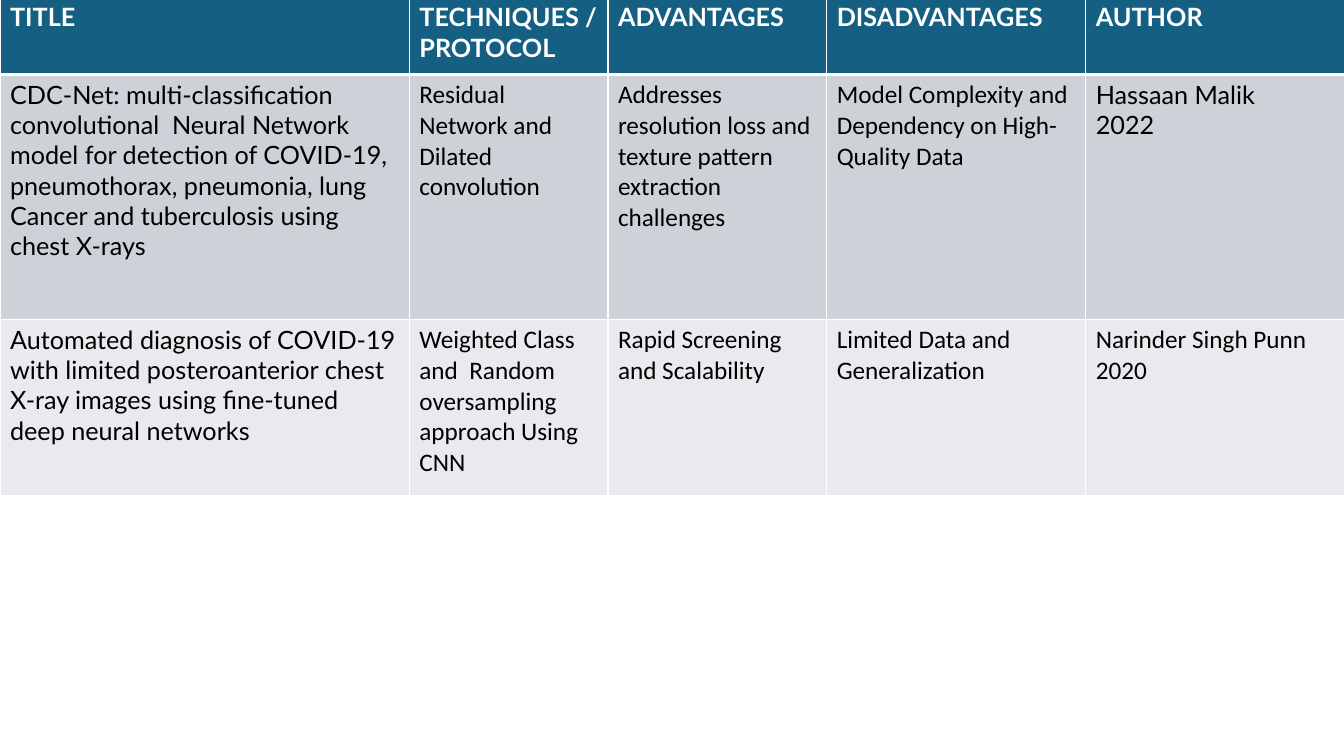
"""Build a literature survey slide with one comparison table."""
from lxml import etree
from pptx import Presentation
from pptx.dml.color import RGBColor
from pptx.oxml import ns
from pptx.util import Inches, Pt

WHITE = RGBColor(0xFF, 0xFF, 0xFF)
BLACK = RGBColor(0x00, 0x00, 0x00)
HEADER_BLUE = RGBColor(0x15, 0x60, 0x82)
ROW_FILLS = [HEADER_BLUE, RGBColor(0xCC, 0xD2, 0xD8), RGBColor(0xE8, 0xEA, 0xED)]

COLUMN_WIDTHS = [4.06, 1.97, 2.17, 2.57, 2.57]
ROW_HEIGHTS = [0.77, 2.43, 1.75]
HEADING_FONT, BODY_FONT = "Lato", "Calibri"
ROW_FONTS = [
    [HEADING_FONT] * 5,
    [HEADING_FONT, BODY_FONT, BODY_FONT, BODY_FONT, HEADING_FONT],
    [HEADING_FONT, BODY_FONT, BODY_FONT, BODY_FONT, BODY_FONT],
]
SURVEY = [
    ["TITLE", "TECHNIQUES / PROTOCOL", "ADVANTAGES", "DISADVANTAGES", "AUTHOR"],
    [
        "CDC-Net: multi-classification convolutional  Neural Network model for detection "
        "of COVID-19, pneumothorax, pneumonia, lung Cancer and tuberculosis using chest X-rays",
        "Residual Network and Dilated convolution",
        "Addresses resolution loss and texture pattern extraction challenges",
        "Model Complexity and Dependency on High-Quality Data",
        "Hassaan Malik\n2022",
    ],
    [
        "Automated diagnosis of COVID-19 with limited posteroanterior chest X-ray images "
        "using fine-tuned deep neural networks",
        "Weighted Class and  Random oversampling approach Using CNN",
        "Rapid Screening and Scalability",
        "Limited Data and Generalization",
        "Narinder Singh Punn\n2020",
    ],
]


def add_borders(cell, top, bottom):
    properties = cell._tc.get_or_add_tcPr()
    for side, width in (("L", 1), ("R", 1), ("T", top), ("B", bottom)):
        line = etree.SubElement(properties, ns.qn(f"a:ln{side}"), w=str(Pt(width)))
        fill = etree.SubElement(line, ns.qn("a:solidFill"))
        etree.SubElement(fill, ns.qn("a:srgbClr"), val=str(WHITE))


def fill_cell(cell, words, font_name, fill_color, is_header):
    cell.text = words
    cell.fill.solid()
    cell.fill.fore_color.rgb = fill_color
    for paragraph in cell.text_frame.paragraphs:
        paragraph.font.name = font_name
        paragraph.font.size = Pt(18)
        paragraph.font.bold = is_header
        paragraph.font.color.rgb = WHITE if is_header else BLACK


def add_survey_table(page):
    frame = page.shapes.add_table(
        len(ROW_HEIGHTS), len(COLUMN_WIDTHS), Inches(0), Inches(-0.03),
        Inches(sum(COLUMN_WIDTHS)), Inches(sum(ROW_HEIGHTS)))
    table = frame.table
    for column, width in zip(table.columns, COLUMN_WIDTHS):
        column.width = Inches(width)
    for index, (row, height) in enumerate(zip(table.rows, ROW_HEIGHTS)):
        row.height = Inches(height)
        for cell, words, font_name in zip(row.cells, SURVEY[index], ROW_FONTS[index]):
            add_borders(cell, top=3 if index == 1 else 1, bottom=3 if index == 0 else 1)
            fill_cell(cell, words, font_name, ROW_FILLS[index], index == 0)


def main():
    deck = Presentation()
    deck.slide_width, deck.slide_height = Inches(13.33), Inches(7.5)
    page = deck.slides.add_slide(deck.slide_layouts.get_by_name("Blank"))
    add_survey_table(page)
    deck.save("out.pptx")


if __name__ == "__main__":
    main()
